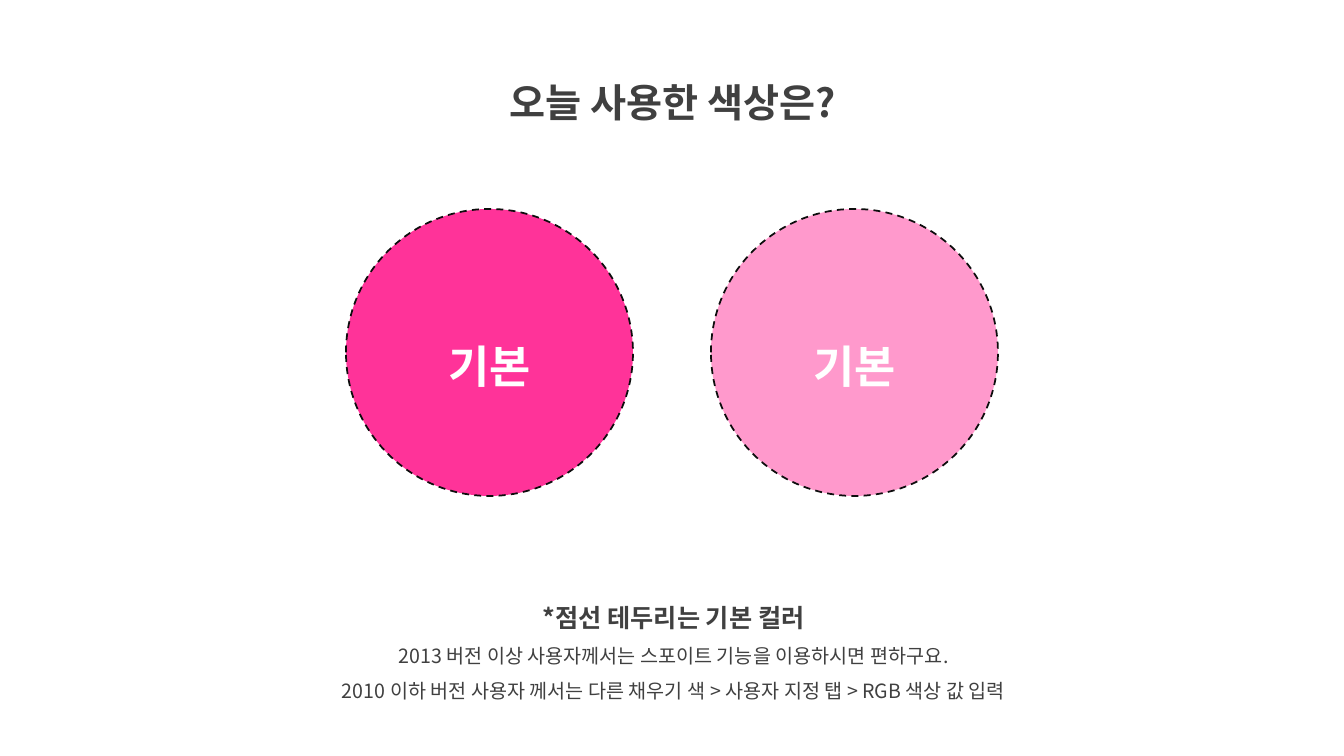
from lxml import etree
from pptx import Presentation
from pptx.dml.color import RGBColor
from pptx.enum.dml import MSO_LINE
from pptx.enum.shapes import MSO_SHAPE
from pptx.enum.text import MSO_ANCHOR, PP_ALIGN
from pptx.oxml.ns import qn
from pptx.util import Emu, Pt

CENTER = PP_ALIGN.CENTER
TOP, MIDDLE = MSO_ANCHOR.TOP, MSO_ANCHOR.MIDDLE
OVAL = MSO_SHAPE.OVAL
DASH = MSO_LINE.DASH

SLIDE_W, SLIDE_H = 1344, 756
SCALE = 12192000 / SLIDE_W
FONT = "Noto Sans CJK KR"
TITLE_ONLY = 5
COLORS = {
    "text": "404040",
    "outline": "0D0D0D",
    "white": "FFFFFF",
    "pink": "FF3399",
    "light_pink": "FF99CC",
}


def px(n):
    return Emu(round(n * SCALE))


def rgb(name):
    return RGBColor.from_string(COLORS[name])


def write(tf, lines, color, anchor):
    """Fill a text frame with centred (text, size, bold) lines."""
    tf.word_wrap = True
    tf.vertical_anchor = anchor
    for i, (text, size, bold) in enumerate(lines):
        p = tf.paragraphs[0] if i == 0 else tf.add_paragraph()
        p.text = text
        p.alignment = CENTER
        p.line_spacing = 1.5
        p.font.name = FONT
        p.font.size = Pt(size)
        p.font.bold = bold
        p.font.color.rgb = rgb(color)
        # Hangul takes its typeface from the East Asian font
        props = p._p.pPr.find(qn("a:defRPr"))
        etree.SubElement(props, qn("a:ea")).set("typeface", FONT)


def add_title(s, x, y, w, h):
    title = s.shapes.title
    title.left, title.top, title.width, title.height = map(px, (x, y, w, h))
    write(title.text_frame, [("오늘 사용한 색상은?", 28, True)], "text", TOP)


def add_swatches(s, x, y, w, size):
    """Spread one circle per colour evenly from the left to the right edge."""
    fills = ("pink", "light_pink")
    step = (w - size) / (len(fills) - 1)
    for i, fill in enumerate(fills):
        sp = s.shapes.add_shape(OVAL, px(x + i * step), px(y), px(size), px(size))
        sp.shadow.inherit = False
        sp.fill.solid()
        sp.fill.fore_color.rgb = rgb(fill)
        sp.line.color.rgb = rgb("outline")
        sp.line.width = Pt(1.25)
        sp.line.dash_style = DASH
        write(sp.text_frame, [("기본", 32, True)], "white", MIDDLE)


def add_notes(s, x, y, w, h):
    box = s.shapes.add_textbox(px(x), px(y), px(w), px(h))
    lines = [
        ("*점선 테두리는 기본 컬러", 18, True),
        ("2013 버전 이상 사용자께서는 스포이트 기능을 이용하시면 편하구요.", 14, False),
        ("2010 이하 버전 사용자 께서는 다른 채우기 색 > 사용자 지정 탭 > RGB 색상 값 입력",
         14, False),
    ]
    write(box.text_frame, lines, "text", TOP)


def main():
    prs = Presentation()
    prs.slide_width, prs.slide_height = px(SLIDE_W), px(SLIDE_H)
    s = prs.slides.add_slide(prs.slide_layouts[TITLE_ONLY])
    add_title(s, 439, 50, 467, 73)
    add_notes(s, 271, 582, 805, 127)
    add_swatches(s, 346, 209, 652, 287)
    prs.save("out.pptx")


if __name__ == "__main__":
    main()
